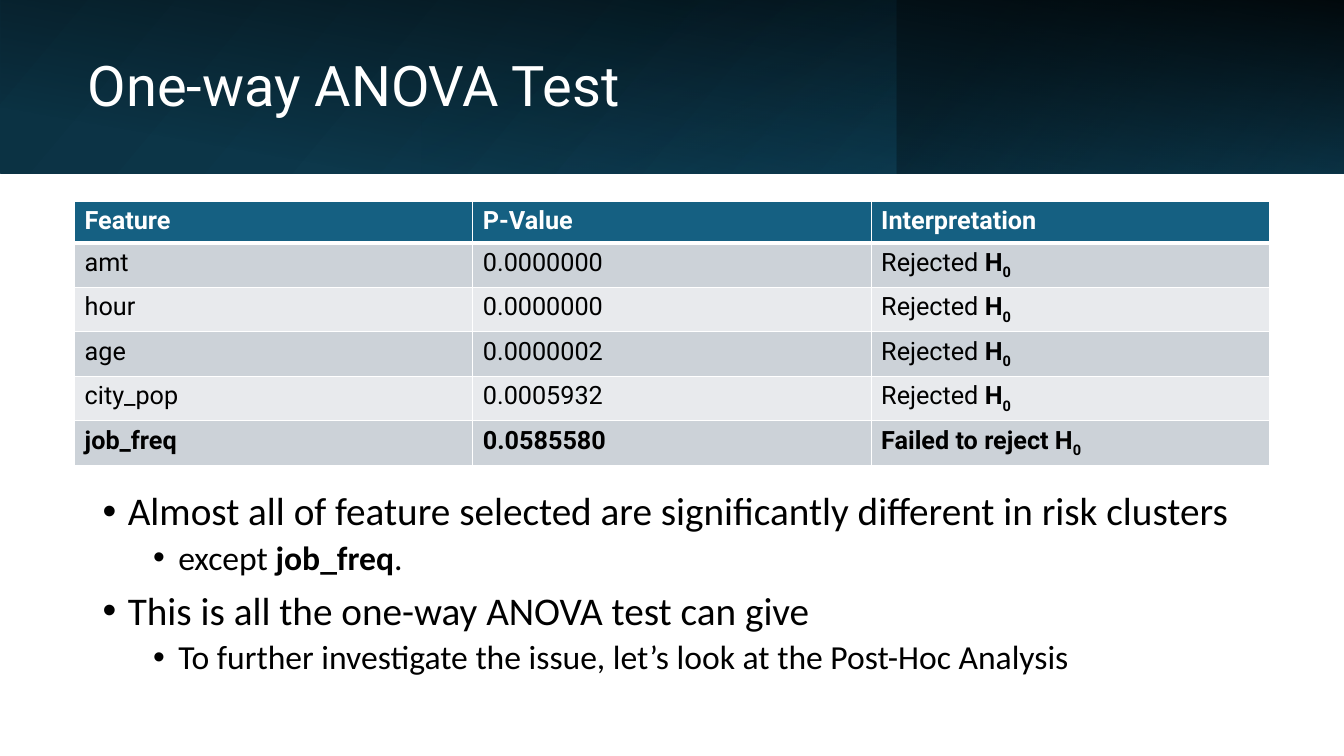
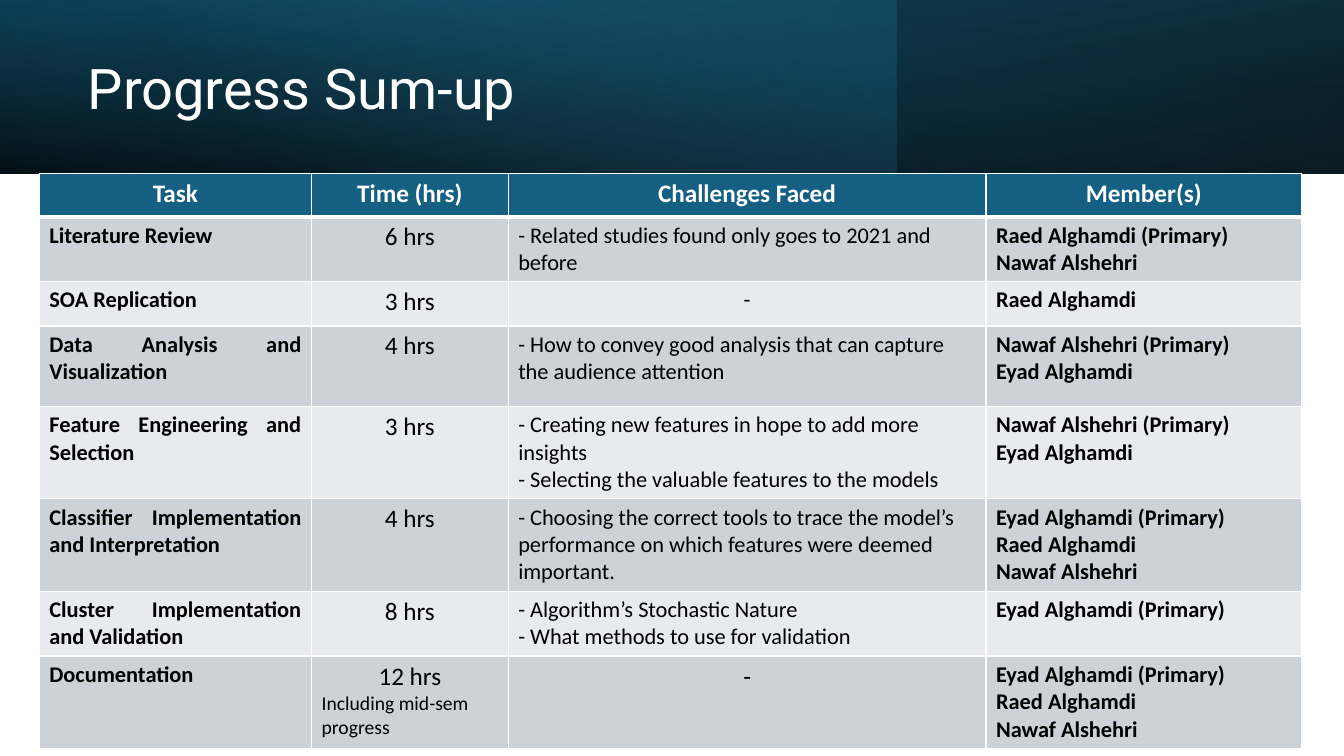
from dataclasses import dataclass
from typing import Sequence

from lxml import etree
from pptx import Presentation
from pptx import util as u
from pptx.dml.color import RGBColor
from pptx.enum import shapes, text
from pptx.oxml.ns import qn

WIDE, TALL, BAND = 13.33, 7.5, 1.72
WHITE, BLACK = "FFFFFF", "000000"
NAVY, TEAL, DEEP, SKY = "0B3041", "156082", "104862", "46B1E1"
STRIPES = ("CCD2D8", "E8EAED")
HEAD, BODY = "Roboto", "Calibri"
LEFT, MID, JUST = text.PP_ALIGN.LEFT, text.PP_ALIGN.CENTER, text.PP_ALIGN.JUSTIFY


@dataclass
class Stop:
    pos: int
    color: str
    alpha: int = 100


@dataclass
class Panel:
    box: tuple[float, float, float, float]
    stops: tuple[Stop, Stop]
    angle: int
    turn: int = 0
    flip: bool = False


@dataclass
class Run:
    text: str
    bold: bool = False
    sub: bool = False


@dataclass
class Para:
    runs: Sequence[Run]
    size: int = 18
    align: text.PP_ALIGN = LEFT
    level: int = 0


Cell = list[Para]


def rgb(code: str) -> RGBColor:
    return RGBColor.from_string(code)


def inch(vals: Sequence[float]) -> list[u.Length]:
    return [u.Inches(v) for v in vals]


def node(top, tag: str, **attrs):
    return etree.SubElement(top, qn(tag), {k: str(v) for k, v in attrs.items()})


def write(par, data: Para, font: str, color: str) -> None:
    par.alignment = data.align
    for item in data.runs:
        run = par.add_run()
        run.text = item.text
        run.font.name = font
        run.font.size = u.Pt(data.size)
        run.font.bold = item.bold
        run.font.color.rgb = rgb(color)
        if item.sub:
            run.font._element.set("baseline", "-25000")


def fill_text(frame, paras: Sequence[Para], font: str, color: str) -> list:
    for num, data in enumerate(paras):
        par = frame.add_paragraph() if num else frame.paragraphs[0]
        write(par, data, font, color)
    return list(frame.paragraphs)


def add_panel(slide, panel: Panel) -> None:
    shape = slide.shapes.add_shape(shapes.MSO_SHAPE.RECTANGLE, *inch(panel.box))
    shape.shadow.inherit = False
    shape.line.fill.background()
    shape.rotation = panel.turn
    props = shape._element.spPr
    if panel.flip:
        props.find(qn("a:xfrm")).set("flipH", "1")
    # Gradient with per-stop transparency
    grad = etree.Element(qn("a:gradFill"), {"rotWithShape": "1"})
    stops = node(grad, "a:gsLst")
    for stop in panel.stops:
        mark = node(stops, "a:gs", pos=stop.pos * 1000)
        tint = node(mark, "a:srgbClr", val=stop.color)
        if stop.alpha < 100:
            node(tint, "a:alpha", val=stop.alpha * 1000)
    node(grad, "a:lin", ang=panel.angle * 60000, scaled=0)
    props.find(qn("a:prstGeom")).addnext(grad)


def add_page(deck, name: str, box: Sequence[float], panels: Sequence[Panel]):
    slide = deck.slides.add_slide(deck.slide_layouts[5])
    for panel in panels:
        add_panel(slide, panel)
    title = slide.shapes.title
    title.left, title.top, title.width, title.height = inch(box)
    frame = title.text_frame
    frame.auto_size = text.MSO_AUTO_SIZE.NONE
    frame.vertical_anchor = text.MSO_ANCHOR.MIDDLE
    par, = fill_text(frame, [Para([Run(name)], 40)], HEAD, WHITE)
    par.line_spacing = 0.9
    # Bring the title in front of the band
    slide.shapes._spTree.append(title._element)
    return slide


def edge_cell(cell, low: float) -> None:
    props = cell._tc.get_or_add_tcPr()
    for num, side in enumerate("LRTB"):
        width = low if side == "B" else 1
        line = etree.Element(qn(f"a:ln{side}"), {"w": str(u.Pt(width))})
        node(node(line, "a:solidFill"), "a:srgbClr", val=WHITE)
        props.insert(num, line)


def add_grid(slide, spot: Sequence[float], cols: Sequence[float],
             rows: Sequence[float], cells: Sequence[Sequence[Cell]], font: str) -> None:
    size = inch((*spot, sum(cols), sum(rows)))
    grid = slide.shapes.add_table(len(rows), len(cols), *size).table
    for col, width in zip(grid.columns, cols):
        col.width = u.Inches(width)
    for r, (high, line) in enumerate(zip(rows, cells)):
        grid.rows[r].height = u.Inches(high)
        for c, paras in enumerate(line):
            cell = grid.cell(r, c)
            cell.fill.solid()
            cell.fill.fore_color.rgb = rgb(STRIPES[(r - 1) % 2] if r else TEAL)
            edge_cell(cell, 1 if r else 3)
            fill_text(cell.text_frame, paras, font, BLACK if r else WHITE)


def add_list(slide, box: Sequence[float], paras: Sequence[Para]) -> None:
    frame = slide.shapes.add_textbox(*inch(box)).text_frame
    frame.word_wrap = True
    for num, par in enumerate(fill_text(frame, paras, BODY, BLACK)):
        level = paras[num].level
        par.level = level
        par.line_spacing = 0.9
        if num:
            par.space_before = u.Pt(5 if level else 10)
        props = par._p.get_or_add_pPr()
        props.set("marL", str(u.Inches(0.25 + 0.5 * level)))
        props.set("indent", str(u.Inches(-0.25)))
        node(props, "a:buFont", typeface="Arial")
        node(props, "a:buChar", char="•")


def lines(words: str, size: int = 16, align=LEFT, bold: bool = False) -> Cell:
    return [Para([Run(part, bold)], size, align) for part in words.split("\n")]


def test_page(deck) -> None:
    full = (0, 0, WIDE, BAND)
    upright = ((WIDE - BAND) / 2, (BAND - WIDE) / 2, BAND, WIDE)
    slide = add_page(deck, "One-way ANOVA Test", (0.77, 0.39, 7.76, 0.98), [
        Panel(full, (Stop(0, NAVY), Stop(100, DEEP)), 140, flip=True),
        Panel((8.89, 0, 4.44, BAND), (Stop(19, NAVY, 68), Stop(100, TEAL, 79)),
              320, 180, True),
        Panel(upright, (Stop(16, BLACK, 0), Stop(99, BLACK, 87)), 190, 90),
        Panel((4.18, 0, 4.71, BAND), (Stop(0, TEAL, 17), Stop(74, NAVY, 0)), 240),
    ])
    add_list(slide, (0.92, 4.83, 11.5, 2.1), [
        Para([Run("Almost all of feature selected are significantly "
                  "different in risk clusters")], 28),
        Para([Run("except "), Run("job_freq", True), Run(".")], 24, level=1),
        Para([Run("This is all the one-way ANOVA test can give")], 28),
        Para([Run("To further investigate the issue, let’s look at "
                  "the Post-Hoc Analysis")], 24, level=1),
    ])
    # Test results, with the one that fails to reject in bold
    cells = [[lines(name, 18, bold=True)
              for name in ("Feature", "P-Value", "Interpretation")]]
    for name, value, kept in (
        ("amt", "0.0000000", False),
        ("hour", "0.0000000", False),
        ("age", "0.0000002", False),
        ("city_pop", "0.0005932", False),
        ("job_freq", "0.0585580", True),
    ):
        verdict = Run("Failed to reject " if kept else "Rejected ", kept)
        runs = [verdict, Run("H", True), Run("0", True, True)]
        cells.append([lines(name, 18, bold=kept), lines(value, 18, bold=kept),
                      [Para(runs)]])
    add_grid(slide, (0.74, 2), [3.95] * 3, [0.41] * 6, cells, HEAD)


@dataclass
class Task:
    name: str
    hours: int
    issue: str
    team: str
    high: float
    note: str = ""


RAED, NAWAF, EYAD = "Raed Alghamdi", "Nawaf Alshehri", "Eyad Alghamdi"
LEAD = " (Primary)"
TRIO = f"{EYAD}{LEAD}\n{RAED}\n{NAWAF}"
PAIR = f"{NAWAF}{LEAD}\n{EYAD}"
TASKS = [
    Task("Literature Review", 6,
         "- Related studies found only goes to 2021 and before",
         f"{RAED}{LEAD}\n{NAWAF}", 0.64),
    Task("SOA Replication", 3, "-", RAED, 0.44),
    Task("Data Analysis and Visualization", 4,
         "- How to convey good analysis that can capture the audience attention",
         PAIR, 0.8),
    Task("Feature Engineering and Selection", 3,
         "- Creating new features in hope to add more insights\n"
         "- Selecting the valuable features to the models", PAIR, 0.86),
    Task("Classifier Implementation and Interpretation", 4,
         "- Choosing the correct tools to trace the model’s performance "
         "on which features were deemed important.", TRIO, 0.86),
    Task("Cluster Implementation and Validation", 8,
         "- Algorithm’s Stochastic Nature\n"
         "- What methods to use for validation", f"{EYAD}{LEAD}", 0.64),
    Task("Documentation", 12, "-", TRIO, 0.92, "Including mid-sem progress"),
]


def sum_page(deck) -> None:
    full = (0, 0, WIDE, BAND)
    slide = add_page(deck, "Progress Sum-up", (0.77, 0.27, 8.12, 1.27), [
        Panel(full, (Stop(0, BLACK, 96), Stop(100, DEEP)), 100, 180, True),
        Panel((0, 0, 8.89, BAND), (Stop(0, TEAL, 41), Stop(74, SKY, 0)), 140),
        Panel(full, (Stop(0, BLACK, 63), Stop(78, TEAL, 15)), 260, flip=True),
    ])
    cells = [[lines(name, 18, MID, True)
              for name in ("Task", "Time (hrs)", "Challenges Faced", "Member(s)")]]
    for task in TASKS:
        time = lines(f"{task.hours} hrs", 18, MID)
        if task.note:
            time += lines(task.note, 14)
        none = task.issue == "-"
        issue = lines(task.issue, 18 if task.note else 16, MID if none else LEFT)
        cells.append([lines(task.name, 16, JUST, True), time, issue,
                      lines(task.team, bold=True)])
    add_grid(slide, (0.39, BAND), [2.7, 1.95, 4.74, 3.13],
             [0.43] + [task.high for task in TASKS], cells, BODY)


def main() -> None:
    deck = Presentation()
    deck.slide_width, deck.slide_height = inch((WIDE, TALL))
    test_page(deck)
    sum_page(deck)
    deck.save("out.pptx")


if __name__ == "__main__":
    main()
